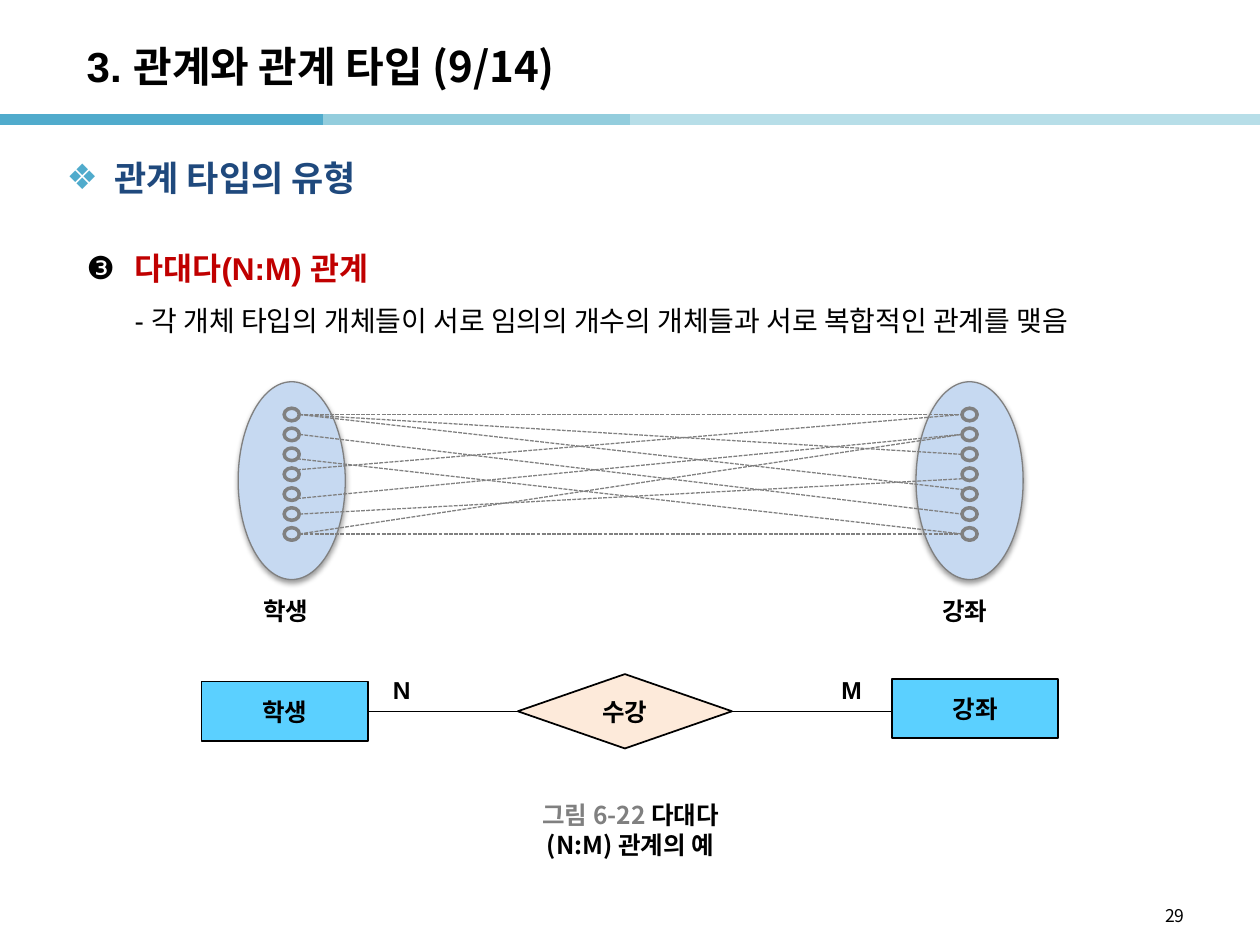
from dataclasses import dataclass

from lxml import etree
from pptx import Presentation
from pptx.dml.color import RGBColor
from pptx.enum.dml import MSO_LINE
from pptx.enum.shapes import MSO_CONNECTOR, MSO_SHAPE as Geo
from pptx.enum.text import MSO_ANCHOR as Anchor, PP_ALIGN as Align
from pptx.oxml.ns import qn
from pptx.util import Emu, Inches, Pt


@dataclass(frozen=True)
class Theme:
    latin: str = "Arial"
    korean: str = "Noto Sans CJK KR"
    black: str = "000000"
    gray: str = "808080"
    red: str = "C00000"
    navy: str = "1F497D"
    teal: str = "50ABCC"
    teal_mid: str = "93CDDD"
    teal_pale: str = "B7DEE8"
    set_fill: str = "C6D9F1"
    entity_fill: str = "5BD0FF"
    relation_fill: str = "FDEADA"
    title: int = 24
    heading: int = 20
    item: int = 18
    body: int = 16
    label: int = 14
    page: int = 10


T = Theme()
ITEM_COUNT = 7
# (student, height on its ring, course, height on its ring), -1 upper to 1 lower
ENROLMENTS = [
    (0, 0, 0, 0), (0, 0, 2, 0), (0, 0, 4, -1), (3, -1, 0, 0), (4, 1, 1, 0),
    (2, 1, 6, 0), (6, 0, 1, 0), (6, 0, 6, 0), (1, 0, 5, 0), (5, 0, 3, 1),
]


def rgb(color):
    return RGBColor.from_string(color)


def sub(parent, tag, **attributes):
    return etree.SubElement(parent, qn(tag), attributes)


def write(frame, runs, size=T.label, font=T.korean, bold=True, align=Align.LEFT,
          anchor=Anchor.TOP, wrap=True, bullet=None, bullet_color=T.black,
          hang=0, indent=0, spacing=None, new_paragraph=False):
    """Write one paragraph of (text, colour[, font]) runs into a text frame."""
    frame.word_wrap = wrap
    frame.vertical_anchor = anchor
    paragraph = frame.add_paragraph() if new_paragraph else frame.paragraphs[0]
    paragraph.alignment = align
    if spacing:
        paragraph.line_spacing = spacing
    properties = paragraph._p.get_or_add_pPr()
    if hang or indent:
        properties.set("marL", str(Inches(hang or indent)))
        properties.set("indent", str(-Inches(hang)))
    if bullet:
        sub(sub(properties, "a:buClr"), "a:srgbClr", val=bullet_color)
        sub(properties, "a:buFont", typeface=T.latin)
        sub(properties, "a:buChar", char=bullet)
    for text, color, *own_font in runs:
        run = paragraph.add_run()
        run.text = text
        run.font.size, run.font.bold = Pt(size), bold
        run.font.name = own_font[0] if own_font else font
        run.font.color.rgb = rgb(color)
        sub(run._r.get_or_add_rPr(), "a:ea", typeface=T.korean)


def add_text(slide, box, runs, **style):
    frame = slide.shapes.add_textbox(*map(Inches, box)).text_frame
    write(frame, runs, **style)
    return frame


def add_figure(slide, geometry, box, fill, line, weight):
    figure = slide.shapes.add_shape(geometry, *map(Inches, box))
    figure.shadow.inherit = False
    figure.fill.solid()
    figure.fill.fore_color.rgb = rgb(fill)
    figure.line.color.rgb = rgb(line)
    figure.line.width = Pt(weight)
    return figure


def add_line(slide, start, end, color, weight=0.75, dash=None):
    line = slide.shapes.add_connector(MSO_CONNECTOR.STRAIGHT, *start, *end)
    line.line.color.rgb = rgb(color)
    line.line.width = Pt(weight)
    if dash:
        line.line.dash_style = dash
    sub(line._element.spPr, "a:effectLst")
    return line


def add_soft_shadow(figure):
    effects = figure._element.spPr.find(qn("a:effectLst"))
    shadow = sub(effects, "a:outerShdw", blurRad=str(Pt(3.1)), dist=str(Pt(1.6)),
                 dir="5400000", rotWithShape="0")
    sub(sub(shadow, "a:srgbClr", val=T.black), "a:alpha", val="38000")


def header(slide, left, top, width, height):
    bands = [(0, 2.56, T.teal), (2.56, 5.12, T.teal_mid), (5, 10, T.teal_pale)]
    rule_y = Inches(top + height)
    for start, end, color in bands:
        add_line(slide, (Inches(left + start), rule_y), (Inches(left + end), rule_y),
                 color, weight=6)
    add_text(slide, (left + 0.59, top + 0.22, width - 1.73, 0.6),
             [("3. 관계와 관계 타입", T.black, T.latin), (" (9/14)", T.black)],
             size=T.title, anchor=Anchor.MIDDLE)


def explanation(slide, left, top, width, height):
    add_text(slide, (left, top, width, 0.62), [("관계 타입의 유형", T.navy)],
             size=T.heading, font=T.latin, bullet="❖", bullet_color=T.teal, hang=0.38)
    frame = add_text(slide, (left + 0.16, top + 0.59, width, height - 0.59),
                     [("다대다(N:M) 관계", T.red)], size=T.item, font=T.latin,
                     bullet="❸", hang=0.38, spacing=1.5)
    write(frame,
          [("- 각 개체 타입의 개체들이 서로 임의의 개수의 개체들과 서로 복합적인 관계를 맺음",
            T.black)],
          size=T.body, font=T.latin, bold=False, align=Align.JUSTIFY, indent=0.38,
          spacing=1.5, new_paragraph=True)


def entity_set(slide, left, top, width, height, name, name_left):
    """Draw a set with its named oval and return the rings inside it."""
    oval = add_figure(slide, Geo.OVAL, (left, top, width, height),
                      T.set_fill, T.gray, 0.75)
    add_soft_shadow(oval)
    add_text(slide, (name_left, top + height + 0.08, 0.71, 0.34), [(name, T.black)],
             font=T.latin, wrap=False)
    ring_w, ring_h, pitch = 0.12, 0.1, 0.158
    return [add_figure(slide, Geo.FLOWCHART_CONNECTOR,
                       (left + (width - ring_w) / 2, top + 0.21 + i * pitch,
                        ring_w, ring_h), T.set_fill, T.gray, 2)
            for i in range(ITEM_COUNT)]


def ring_point(ring, side, level):
    """Point on a ring: side is -1 left or 1 right, level -1 upper to 1 lower."""
    reach = 0.35 if level else 0.5
    return (Emu(int(ring.left + ring.width * (0.5 + side * reach))),
            Emu(int(ring.top + ring.height * (0.5 + level * 0.35))))


def mapping(slide, left, top, width, height):
    oval_w = 0.85
    students = entity_set(slide, left, top, oval_w, height, "학생", left + 0.1)
    courses = entity_set(slide, left + width - oval_w, top, oval_w, height,
                         "강좌", left + width - 0.74)
    for student, student_level, course, course_level in ENROLMENTS:
        add_line(slide, ring_point(students[student], 1, student_level),
                 ring_point(courses[course], -1, course_level),
                 T.gray, dash=MSO_LINE.SQUARE_DOT)


def er_diagram(slide, left, top, width, height):
    def node(geometry, box, fill, name):
        figure = add_figure(slide, geometry, box, fill, T.black, 1)
        write(figure.text_frame, [(name, T.black)], align=Align.CENTER,
              anchor=Anchor.MIDDLE)
        return figure

    entity_w, entity_h = 1.32, 0.47
    right_x, middle = left + width - entity_w, top + height / 2
    student = node(Geo.RECTANGLE, (left, top + 0.06, entity_w, entity_h),
                   T.entity_fill, "학생")
    link_y = Inches(middle)
    link = add_line(slide, (Inches(left + entity_w), link_y),
                    (Inches(right_x), link_y), T.black)
    link.begin_connect(student, 3)
    node(Geo.FLOWCHART_DECISION, (left + 2.51, top, 1.7, height),
         T.relation_fill, "수강")
    node(Geo.RECTANGLE, (right_x, top + 0.04, entity_w, entity_h),
         T.entity_fill, "강좌")
    for x, cardinality in ((left + 1.42, "N"), (right_x - 0.5, "M")):
        add_text(slide, (x, top - 0.04, 0.45, 0.34), [(cardinality, T.black)],
                 font=T.latin, wrap=False)


def footer(slide, left, top, width, height):
    add_text(slide, (left, top, 2.05, 0.31),
             [("그림 6-22 ", T.gray), ("다대다(N:M) 관계의 예", T.black)],
             align=Align.CENTER, anchor=Anchor.MIDDLE, wrap=False)
    page_w, page_h = 2.33, 0.28
    add_text(slide, (left + width - page_w, top + height - page_h, page_w, page_h),
             [("29", T.black)], size=T.page, bold=False, align=Align.RIGHT)


def main():
    deck = Presentation()
    deck.slide_width, deck.slide_height = Inches(10), Inches(7.5)
    slide = deck.slides.add_slide(deck.slide_layouts[6])
    header(slide, 0, 0, 10, 0.95)
    explanation(slide, 0.43, 1.19, 9.06, 1.73)
    mapping(slide, 1.89, 3.03, 6.23, 1.57)
    er_diagram(slide, 1.6, 5.35, 6.8, 0.59)
    footer(slide, 3.98, 6.43, 5.52, 0.98)
    deck.save("out.pptx")


if __name__ == "__main__":
    main()
